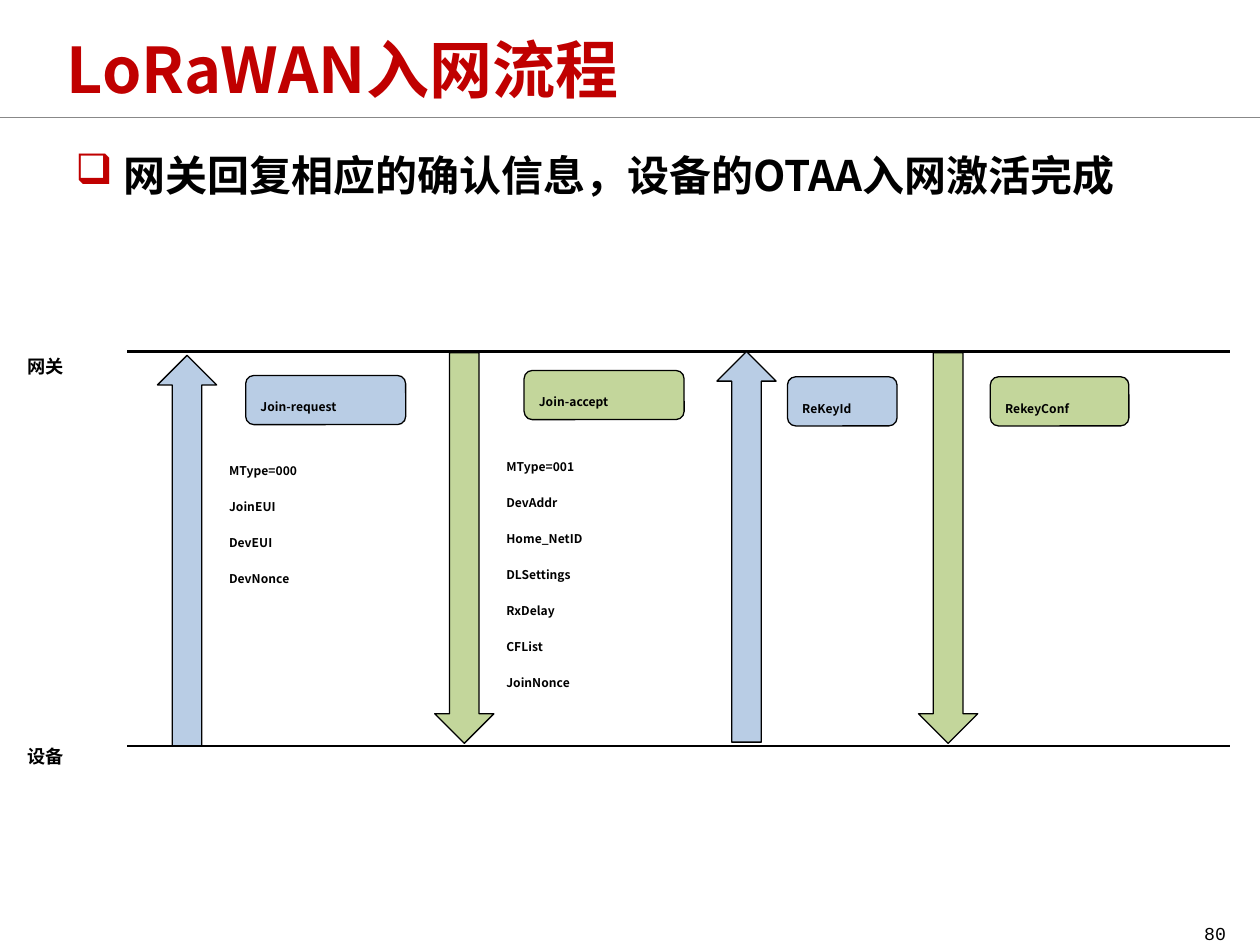
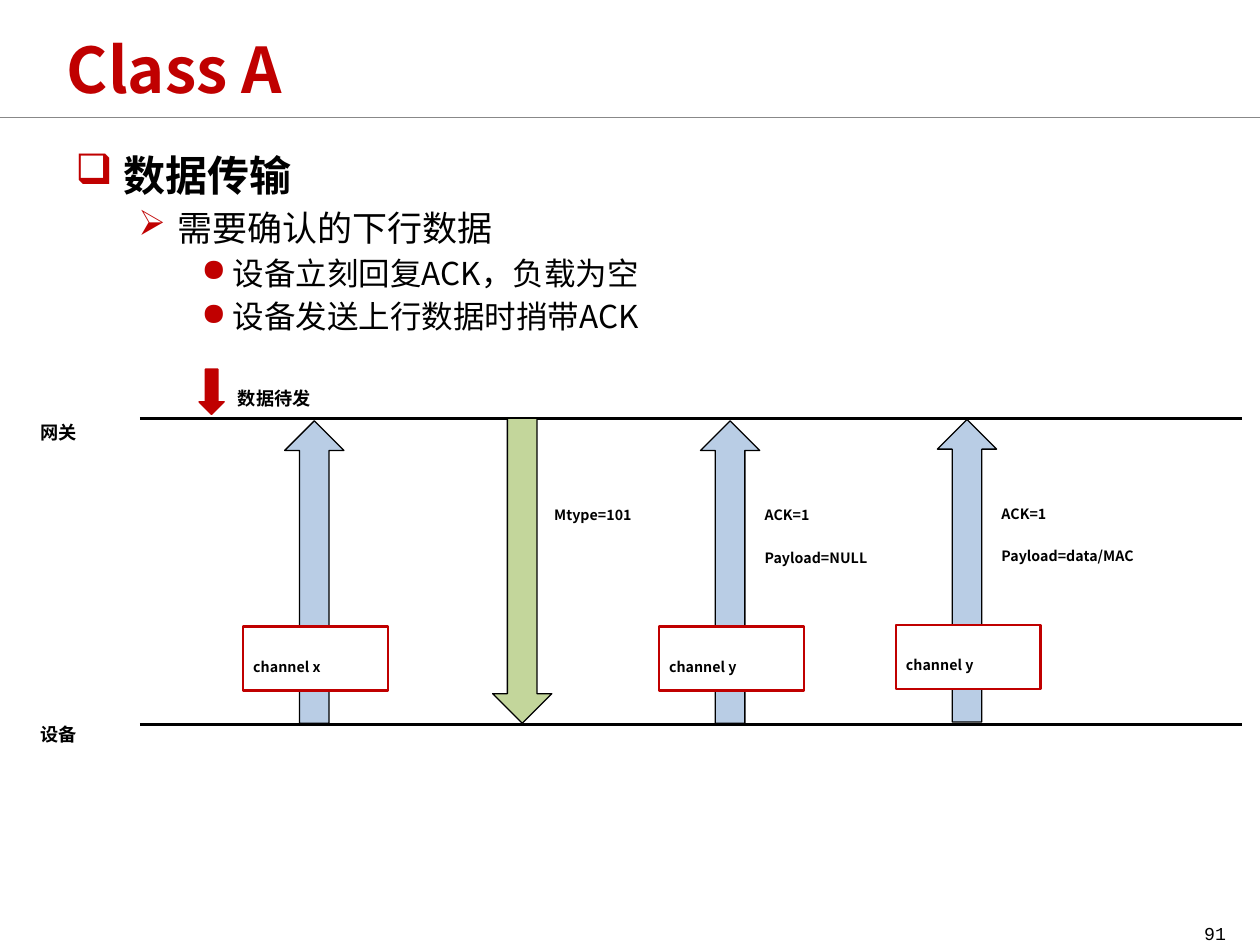
from lxml import etree
from pptx import Presentation
from pptx.dml.color import RGBColor
from pptx.enum.shapes import MSO_CONNECTOR, MSO_SHAPE
from pptx.enum.text import MSO_ANCHOR, PP_ALIGN
from pptx.oxml.ns import qn
from pptx.util import Inches, Pt

UP, DOWN = MSO_SHAPE.UP_ARROW, MSO_SHAPE.DOWN_ARROW
ROUNDED, RECTANGLE = MSO_SHAPE.ROUNDED_RECTANGLE, MSO_SHAPE.RECTANGLE
STRAIGHT = MSO_CONNECTOR.STRAIGHT
LEFT, RIGHT = PP_ALIGN.LEFT, PP_ALIGN.RIGHT
MIDDLE, TOP = MSO_ANCHOR.MIDDLE, MSO_ANCHOR.TOP

FONT, NUMBER_FONT = "Noto Sans CJK SC", "Courier New"
RED, BLACK, WHITE, GRAY = "C00000", "000000", "FFFFFF", "888888"
UPLINK, DOWNLINK = "B9CDE5", "C3D69B"
ARROW_WIDTH = 0.47
LIFELINE_WIDTH = 8.75
FIELD_STEP = 0.285

# bullet, size, bold, left margin, hanging indent for each outline level
OUTLINE = [
    ("❑", 24, True, 0.38, 0.38),
    ("➢", 20, False, 0.81, 0.31),
    ("●", 18, False, 1.25, 0.25),
]


def color(hex_code):
    return RGBColor.from_string(hex_code)


def write(paragraph, text, size=18, bold=True, ink=BLACK, font=FONT,
          align=LEFT, lowered=False):
    """Add formatted text; lowered text is set as a subscript."""
    paragraph.alignment = align
    run = paragraph.add_run()
    run.text = text
    run.font.size = Pt(size)
    run.font.bold = bold
    run.font.name = font
    run.font.color.rgb = color(ink)
    properties = run._r.get_or_add_rPr()
    etree.SubElement(properties, qn("a:ea")).set("typeface", font)
    if lowered:
        properties.set("baseline", "-25000")


def add_label(slide, text, left, top, width=1.27, height=0.3, **text_format):
    box = slide.shapes.add_textbox(Inches(left), Inches(top),
                                   Inches(width), Inches(height))
    frame = box.text_frame
    frame.word_wrap = True
    frame.vertical_anchor = MIDDLE
    write(frame.paragraphs[0], text, lowered=True, **text_format)


def add_box(slide, kind, left, top, width, height, fill, line=BLACK, weight=0.75):
    shape = slide.shapes.add_shape(kind, Inches(left), Inches(top),
                                   Inches(width), Inches(height))
    shape.shadow.inherit = False
    shape.fill.solid()
    shape.fill.fore_color.rgb = color(fill)
    shape.line.color.rgb = color(line)
    shape.line.width = Pt(weight)
    return shape


def add_line(slide, left, top, width, line=BLACK, weight=1.5):
    connector = slide.shapes.add_connector(
        STRAIGHT, Inches(left), Inches(top), Inches(left + width), Inches(top))
    connector.line.color.rgb = color(line)
    connector.line.width = Pt(weight)
    etree.SubElement(connector._element.spPr, qn("a:effectLst"))


def add_message(slide, kind, left, top, height):
    """Draw one message arrow between the gateway and the device."""
    fill = UPLINK if kind == UP else DOWNLINK
    add_box(slide, kind, left, top, ARROW_WIDTH, height, fill)


def add_tag(slide, kind, text, left, top, width, height, size, inset=0.1, **style):
    """Draw a box with its text inside it."""
    tag = add_box(slide, kind, left, top, width, height, **style)
    frame = tag.text_frame
    frame.word_wrap = True
    frame.vertical_anchor = MIDDLE
    frame.margin_left = Inches(inset)
    write(frame.paragraphs[0], text, size=size, lowered=True)


def add_fields(slide, fields, left, top, step, size, width=1.43, height=0.3):
    for row, field in enumerate(fields):
        add_label(slide, field, left, top + row * step, width, height, size=size)


def add_lifelines(slide, left, gateway, device, gateway_label, device_label):
    for name, line_top, label_top in (("网关", gateway, gateway_label),
                                      ("设备", device, device_label)):
        add_line(slide, left, line_top, LIFELINE_WIDTH)
        add_label(slide, name, left - 0.89, label_top, 0.73, 0.4)


def add_bullet(paragraph, bullet, margin, hanging):
    properties = paragraph._p.get_or_add_pPr()
    properties.set("marL", str(Inches(margin)))
    properties.set("indent", str(-Inches(hanging)))
    bullet_color = etree.SubElement(properties, qn("a:buClr"))
    etree.SubElement(bullet_color, qn("a:srgbClr")).set("val", RED)
    etree.SubElement(properties, qn("a:buChar")).set("char", bullet)


def add_outline(slide, items):
    box = slide.shapes.add_textbox(Inches(0.5), Inches(1.1), Inches(9.08), Inches(5.9))
    frame = box.text_frame
    frame.word_wrap = True
    frame.vertical_anchor = TOP
    for index, (level, text) in enumerate(items):
        bullet, size, bold, margin, hanging = OUTLINE[level]
        paragraph = frame.add_paragraph() if index else frame.paragraphs[0]
        add_bullet(paragraph, bullet, margin, hanging)
        paragraph.level = level
        paragraph.line_spacing = 1.1
        if index:
            paragraph.space_before = Pt(1)
        write(paragraph, text, size=size, bold=bold)


def start_slide(deck, title_text, number, outline):
    slide = deck.slides.add_slide(deck.slide_layouts[5])
    add_line(slide, 0, 0.93, 10, GRAY, 0.25)
    title = slide.shapes.title
    title.left, title.top = Inches(0.43), Inches(0.04)
    title.width, title.height = Inches(9.01), Inches(1)
    title.text_frame.vertical_anchor = MIDDLE
    write(title.text_frame.paragraphs[0], title_text, size=36, ink=RED)
    add_outline(slide, outline)
    add_label(slide, number, 9, 7.2, 0.83, 0.25, bold=False,
              font=NUMBER_FONT, align=RIGHT)
    return slide


def build_join_slide(deck):
    slide = start_slide(deck, "LoRaWAN入网流程", "80",
                        [(0, "网关回复相应的确认信息，设备的OTAA入网激活完成")])
    add_lifelines(slide, 1.01, 2.79, 5.92, 2.62, 5.72)
    for kind, left, top in ((UP, 1.25, 2.82), (DOWN, 3.45, 2.8),
                            (UP, 5.69, 2.79), (DOWN, 7.29, 2.8)):
        add_message(slide, kind, left, top, 3.1)
    for name, left, top, width, fill in (
            ("Join-request", 1.95, 2.98, 1.27, UPLINK),
            ("Join-accept", 4.16, 2.94, 1.27, DOWNLINK),
            ("ReKeyId", 6.25, 2.99, 0.87, UPLINK),
            ("RekeyConf", 7.86, 2.99, 1.1, DOWNLINK)):
        add_tag(slide, ROUNDED, name, left, top, width, 0.39, 12, fill=fill)
    request_fields = ["MType=000", "JoinEUI", "DevEUI", "DevNonce"]
    accept_fields = ["MType=001", "DevAddr", "Home_NetID", "DLSettings",
                     "RxDelay", "CFList", "JoinNonce"]
    add_fields(slide, request_fields, 1.72, 3.53, FIELD_STEP, 12)
    add_fields(slide, accept_fields, 3.92, 3.5, FIELD_STEP, 12)


def build_class_a_slide(deck):
    slide = start_slide(deck, "Class A", "91", [
        (0, "数据传输"),
        (1, "需要确认的下行数据"),
        (2, "设备立刻回复ACK，负载为空"),
        (2, "设备发送上行数据时捎带ACK"),
    ])
    add_lifelines(slide, 1.11, 3.32, 5.75, 3.15, 5.54)
    add_box(slide, DOWN, 1.58, 2.93, 0.2, 0.36, RED, line=RED)
    add_label(slide, "数据待发", 1.79, 2.88, 1.26, 0.4)
    add_message(slide, DOWN, 3.91, 3.32, 2.42)
    add_fields(slide, ["Mtype=101"], 4.3, 3.85, 0.34, 14, height=0.34)
    for left, top, channel, fields in (
            (2.26, 3.34, "channel x", []),
            (5.56, 3.34, "channel y", ["ACK=1", "Payload=NULL"]),
            (7.44, 3.33, "channel y", ["ACK=1", "Payload=data/MAC"])):
        add_message(slide, UP, left, top, 2.4)
        add_tag(slide, RECTANGLE, channel, left - 0.33, top + 1.63, 1.15, 0.51, 14,
                inset=0.08, fill=WHITE, line=RED, weight=1.5)
        add_fields(slide, fields, left + 0.41, top + 0.51, 0.34, 14,
                   width=2.1, height=0.34)


def main():
    deck = Presentation()
    deck.slide_width, deck.slide_height = Inches(10), Inches(7.5)
    build_join_slide(deck)
    build_class_a_slide(deck)
    deck.save("out.pptx")


if __name__ == "__main__":
    main()
